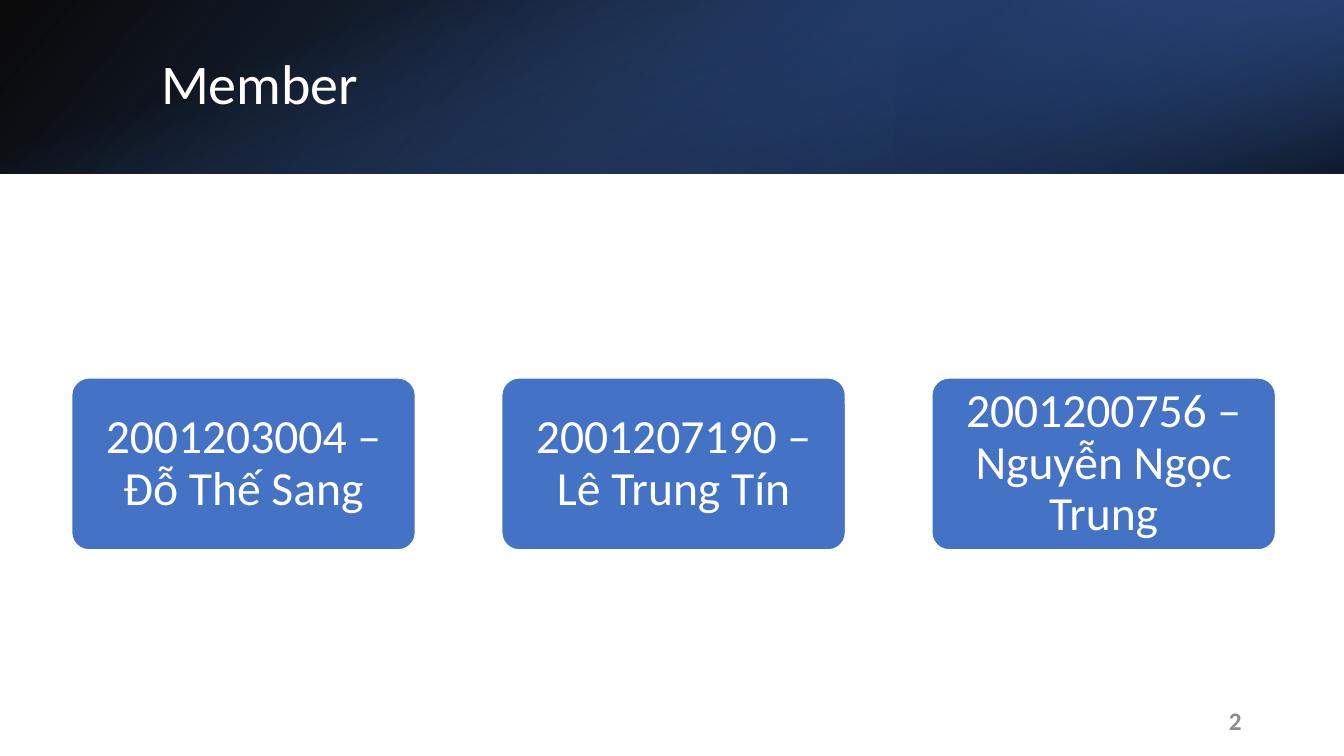
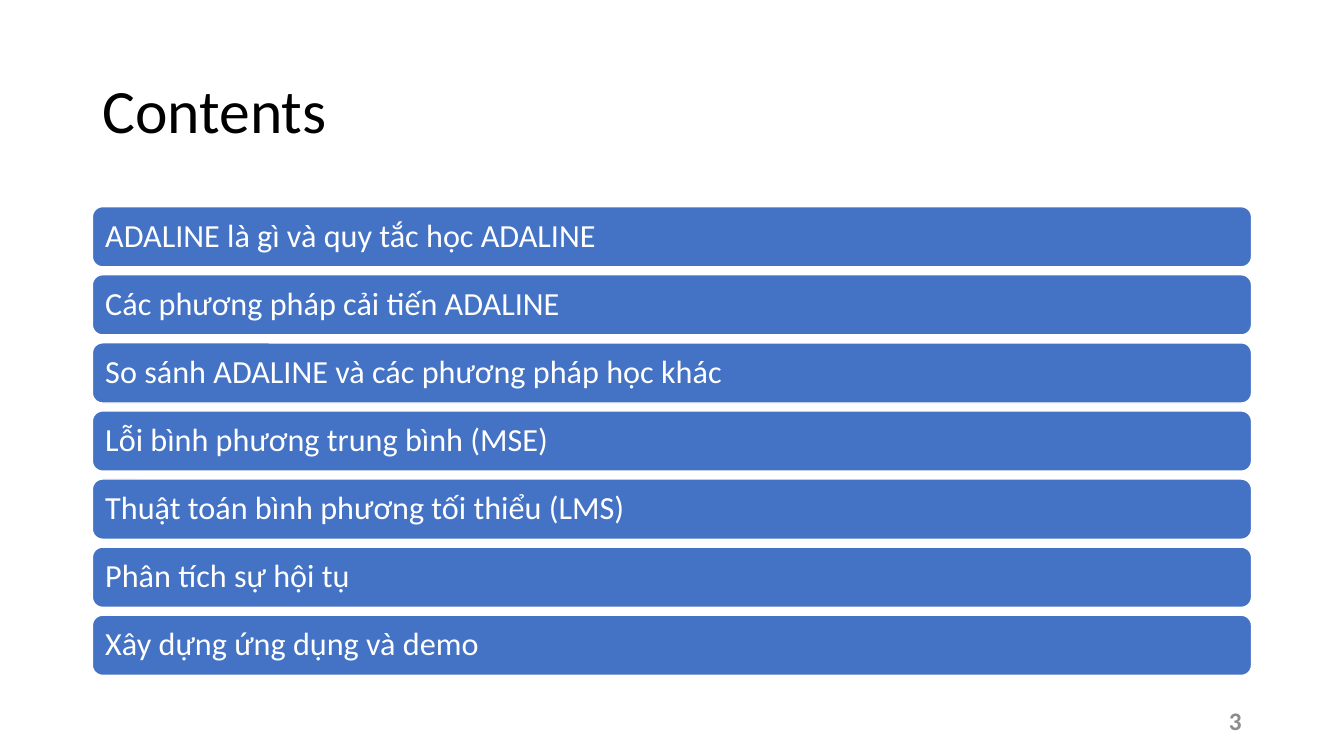
from dataclasses import dataclass

import pptx
import pptx.dml.color
import pptx.enum.shapes
import pptx.enum.text
import pptx.oxml
import pptx.oxml.ns
import pptx.util

Pt = pptx.util.Pt
RGB = pptx.dml.color.RGBColor.from_string
SHAPE = pptx.enum.shapes.MSO_SHAPE
ALIGN = pptx.enum.text.PP_ALIGN
qn = pptx.oxml.ns.qn


@dataclass(frozen=True)
class Theme:
    font: str = "Calibri"
    white: str = "FFFFFF"
    black: str = "000000"
    blue: str = "4472C4"
    mid_blue: str = "2F5597"
    navy: str = "203864"
    grey: str = "8C8C8C"
    band_title: int = 40
    title: int = 44
    member: int = 34
    topic: int = 23
    number: int = 18


T = Theme()
WIDTH, HEIGHT = 960, 540
BAND_H = 124

MEMBERS = [
    "2001203004 – Đỗ Thế Sang",
    "2001207190 – Lê Trung Tín",
    "2001200756 – Nguyễn Ngọc Trung",
]
TOPICS = [
    "ADALINE là gì và quy tắc học ADALINE",
    "Các phương pháp cải tiến ADALINE",
    "So sánh ADALINE và các phương pháp học khác",
    "Lỗi bình phương trung bình (MSE)",
    "Thuật toán bình phương tối thiểu (LMS)",
    "Phân tích sự hội tụ",
    "Xây dựng ứng dụng và demo",
]


def write(sp, text, size, color, align=ALIGN.LEFT, spacing=0.9, bold=False,
          insets=(7.2, 3.6)):
    tf = sp.text_frame
    tf.word_wrap = True
    tf.vertical_anchor = pptx.enum.text.MSO_ANCHOR.MIDDLE
    tf.margin_left = tf.margin_right = Pt(insets[0])
    tf.margin_top = tf.margin_bottom = Pt(insets[1])
    p = tf.paragraphs[0]
    p.alignment = align
    p.line_spacing = spacing
    r = p.add_run()
    r.text = text
    r.font.name = T.font
    r.font.size = Pt(size)
    r.font.bold = bold
    r.font.color.rgb = RGB(color)


def add_text(slide, box, text, size, color, **style):
    sp = slide.shapes.add_textbox(*map(Pt, box))
    write(sp, text, size, color, **style)


def add_card(slide, box, text, size, radius, **style):
    sp = slide.shapes.add_shape(SHAPE.ROUNDED_RECTANGLE, *map(Pt, box))
    sp.adjustments[0] = radius
    sp.shadow.inherit = False
    sp.fill.solid()
    sp.fill.fore_color.rgb = RGB(T.blue)
    sp.line.color.rgb = RGB(T.white)
    sp.line.width = Pt(1)
    write(sp, text, size, T.white, **style)


def add_gradient(slide, box, angle, stops, rotation=0, flip=False):
    """Add a rectangle with two (position %, colour, opacity %) stops; angle is clockwise."""
    sp = slide.shapes.add_shape(SHAPE.RECTANGLE, *map(Pt, box))
    sp.shadow.inherit = False
    sp.line.fill.background()
    sp.rotation = rotation
    if flip:
        sp.element.spPr.find(qn("a:xfrm")).set("flipH", "1")
    sp.fill.gradient()
    sp.fill.gradient_angle = 360 - angle
    for stop, (position, color, _) in zip(sp.fill.gradient_stops, stops):
        stop.position = position / 100
        stop.color.rgb = RGB(color)
    for clr, (_, _, opacity) in zip(sp.element.iter(qn("a:srgbClr")), stops):
        alpha = pptx.oxml.parse_xml(
            f'<a:alpha {pptx.oxml.ns.nsdecls("a")} val="{opacity * 1000}"/>')
        clr.append(alpha)


def add_band(slide):
    add_gradient(slide, (0, 0, WIDTH, BAND_H), 140,
                 [(0, T.black, 96), (100, T.mid_blue, 100)], flip=True)
    add_gradient(slide, (WIDTH * 2 / 3, 0, WIDTH / 3, BAND_H), 320,
                 [(19, T.navy, 68), (100, T.blue, 79)], rotation=180, flip=True)
    offset = (WIDTH - BAND_H) / 2
    add_gradient(slide, (offset, -offset, BAND_H, WIDTH), 340,
                 [(23, T.blue, 0), (99, T.black, 74)], rotation=90)


def add_number(slide, number):
    add_text(slide, (678, 500.5, 216, 28.75), str(number), T.number, T.grey,
             align=ALIGN.RIGHT, spacing=1.0, bold=True)


def add_members(slide):
    add_band(slide)
    add_text(slide, (108, 27, 790, 69), "Member", T.band_title, T.white)
    for i, member in enumerate(MEMBERS):
        add_card(slide, (51.2 + 307.2 * i, 270, 245.5, 122.8), member, T.member,
                 radius=0.1, align=ALIGN.CENTER, insets=(5, 3.6))


def add_contents(slide):
    add_text(slide, (66, 28.75, 828, 104.4), "Contents", T.title, T.black)
    for i, topic in enumerate(TOPICS):
        add_card(slide, (66, 147.6 + 48.64 * i, 828, 43), topic, T.topic,
                 radius=0.17, insets=(7.2, 7.2))


def main():
    prs = pptx.Presentation()
    prs.slide_width, prs.slide_height = Pt(WIDTH), Pt(HEIGHT)
    for number, build in enumerate((add_members, add_contents), start=2):
        slide = prs.slides.add_slide(prs.slide_layouts[6])
        build(slide)
        add_number(slide, number)
    prs.save("out.pptx")


if __name__ == "__main__":
    main()
